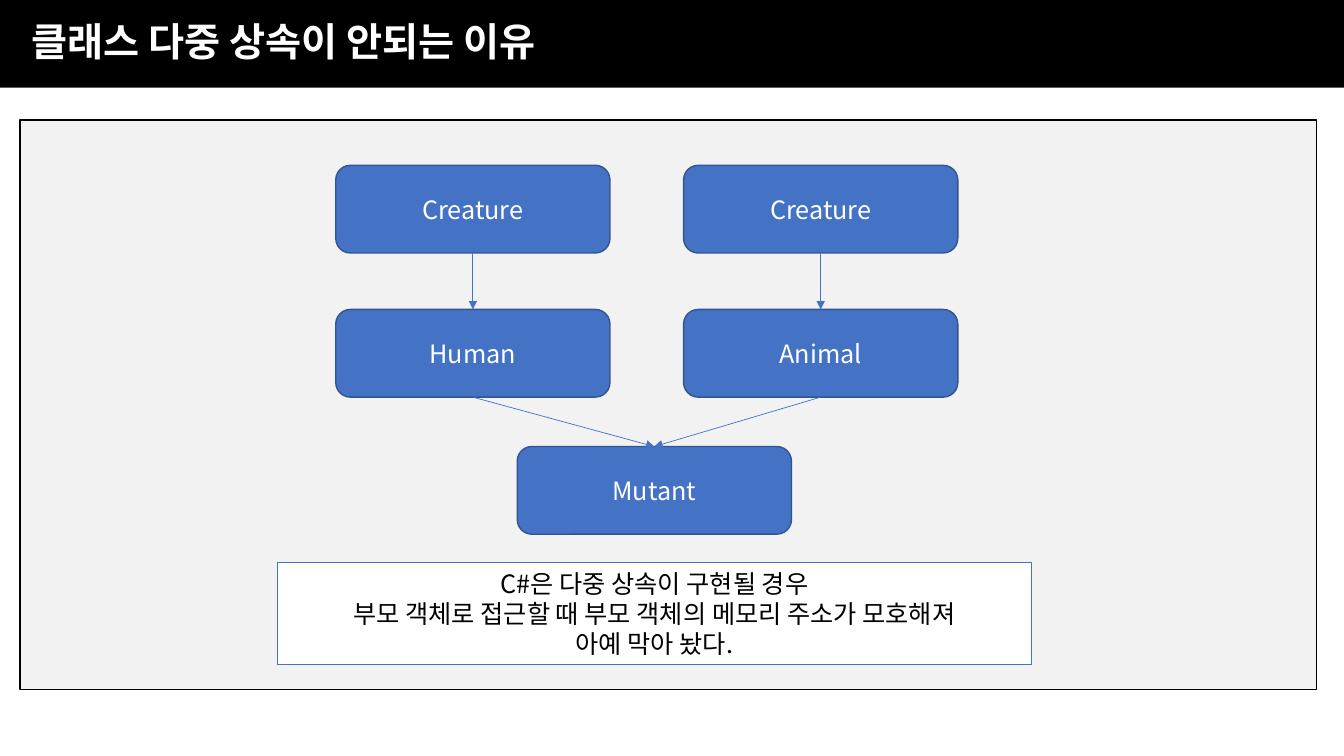
from lxml.etree import SubElement
from pptx import Presentation
from pptx.dml.color import RGBColor
from pptx.enum.shapes import MSO_CONNECTOR, MSO_SHAPE
from pptx.enum.text import MSO_ANCHOR, MSO_AUTO_SIZE, PP_ALIGN
from pptx.oxml.ns import qn
from pptx.util import Pt

PX = 9144  # EMU per px, 100 px to the inch
FONT = "Noto Sans CJK KR"
BLACK = RGBColor(0x00, 0x00, 0x00)
WHITE = RGBColor(0xFF, 0xFF, 0xFF)
GRAY = RGBColor(0xF2, 0xF2, 0xF2)
BLUE = RGBColor(0x44, 0x72, 0xC4)
NAVY = RGBColor(0x32, 0x54, 0x91)


def add_box(kind, rect, fill, line):
    sp = slide.shapes.add_shape(kind, *(v * PX for v in rect))
    sp.shadow.inherit = False
    sp.fill.solid()
    sp.fill.fore_color.rgb = fill
    sp.line.color.rgb = line
    sp.line.width = Pt(1)
    return sp


def set_text(sp, text, size, color, align, bold=False):
    tf = sp.text_frame
    tf.text = text
    tf.word_wrap = True
    tf.vertical_anchor = MSO_ANCHOR.MIDDLE
    for p in tf.paragraphs:
        p.alignment = align
        for r in p.runs:
            r.font.name = FONT
            r.font.size = Pt(size)
            r.font.bold = bold
            r.font.color.rgb = color
            SubElement(r.font._element, qn("a:ea"), typeface=FONT)


prs = Presentation()
prs.slide_width = 1333 * PX
prs.slide_height = 750 * PX
slide = prs.slides.add_slide(prs.slide_layouts[5])

# Title bar
title = slide.shapes.title
title.left, title.top, title.width, title.height = 0, 0, prs.slide_width, 87 * PX
title.fill.solid()
title.fill.fore_color.rgb = BLACK
set_text(title, "클래스 다중 상속이 안되는 이유", 28, WHITE, PP_ALIGN.LEFT, bold=True)
tf = title.text_frame
tf.auto_size = MSO_AUTO_SIZE.NONE
tf.margin_left = 31 * PX
tf.paragraphs[0].line_spacing = 0.9
tf.paragraphs[0].space_before = Pt(10)

# Content panel
add_box(MSO_SHAPE.RECTANGLE, (20, 119, 1286, 565), GRAY, BLACK)

# Class boxes
classes = []
for name, left, top in [
    ("Creature", 333, 164),
    ("Human", 333, 307),
    ("Creature", 678, 164),
    ("Animal", 678, 307),
    ("Mutant", 513, 443),
]:
    sp = add_box(MSO_SHAPE.ROUNDED_RECTANGLE, (left, top, 272, 87), BLUE, NAVY)
    set_text(sp, name, 18, WHITE, PP_ALIGN.CENTER)
    classes.append(sp)
human_base, human, animal_base, animal, mutant = classes

# Inheritance arrows, from bottom side to top side
for parent, child in [
    (human_base, human),
    (animal_base, animal),
    (human, mutant),
    (animal, mutant),
]:
    arrow = slide.shapes.add_connector(MSO_CONNECTOR.STRAIGHT, 0, 0, 0, 0)
    arrow.begin_connect(parent, 2)
    arrow.end_connect(child, 0)
    arrow.line.color.rgb = BLUE
    arrow.line.width = Pt(0.5)
    SubElement(arrow.line._get_or_add_ln(), qn("a:tailEnd"), type="triangle")
    SubElement(arrow._element.spPr, qn("a:effectLst"))

# Explanation
note = add_box(MSO_SHAPE.RECTANGLE, (275, 558, 748, 101), WHITE, BLUE)
set_text(
    note,
    "C#은 다중 상속이 구현될 경우\n"
    "부모 객체로 접근할 때 부모 객체의 메모리 주소가 모호해져\n"
    "아예 막아 놨다.",
    18, BLACK, PP_ALIGN.CENTER,
)

prs.save("out.pptx")
